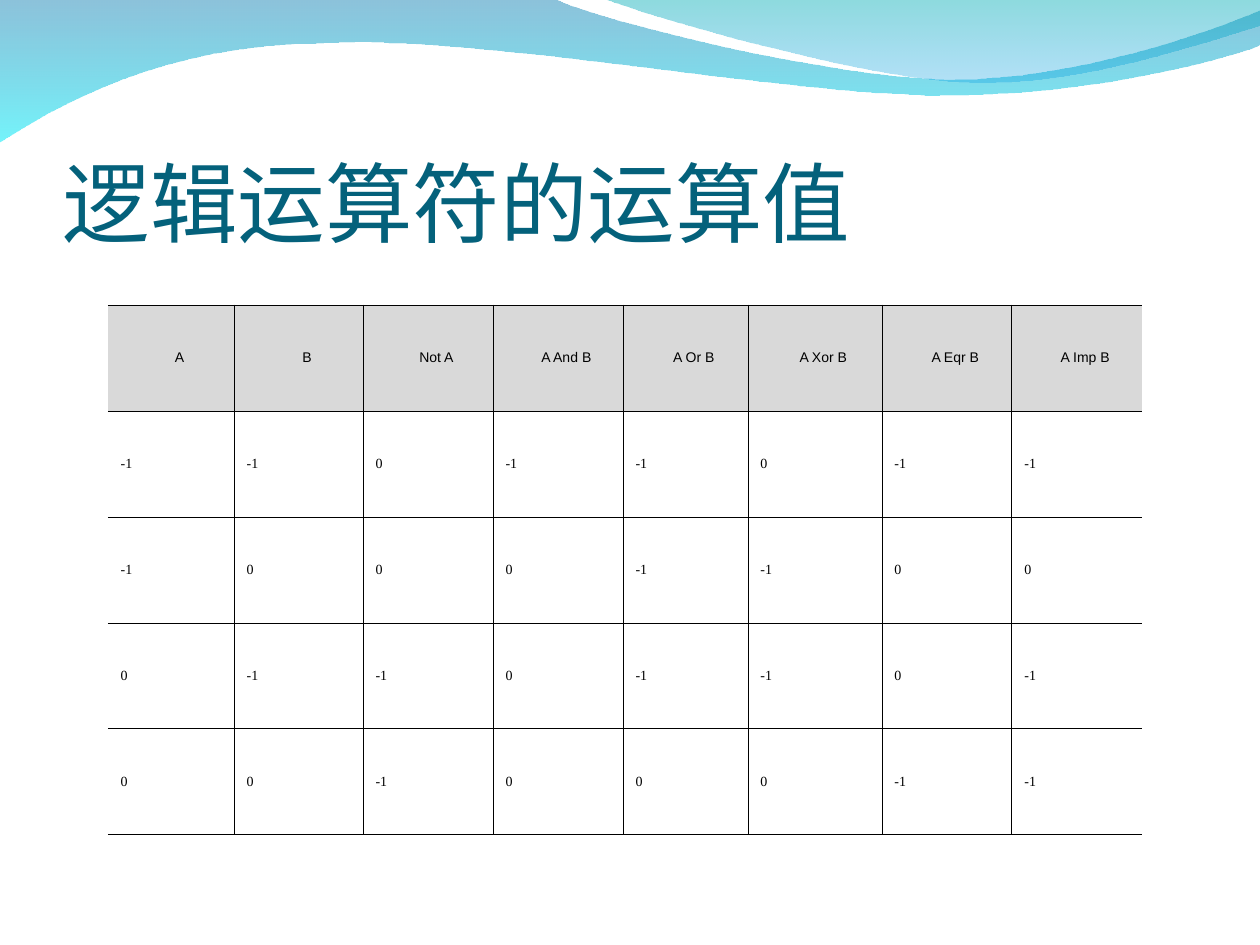
"""Build the slide that tabulates the results of the logical operators."""
from dataclasses import dataclass

from lxml import etree
from pptx import Presentation
from pptx.dml.color import RGBColor
from pptx.enum.text import MSO_ANCHOR, PP_ALIGN
from pptx.oxml.ns import qn
from pptx.slide import Slide
from pptx.table import _Cell
from pptx.text.text import _Paragraph
from pptx.util import Emu, Inches, Pt

MIDDLE, BOTTOM = MSO_ANCHOR.MIDDLE, MSO_ANCHOR.BOTTOM
LEFT, CENTER = PP_ALIGN.LEFT, PP_ALIGN.CENTER
EMU_PER_PX = Inches(1) / 126
DOWNWARD = 270

Point = tuple[int, int]


@dataclass(frozen=True)
class TextStyle:
    font: str
    size: int
    color: str


@dataclass(frozen=True)
class Theme:
    title: TextStyle = TextStyle("Calibri", 50, "04617B")
    header: TextStyle = TextStyle("Arial", 8, "000000")
    value: TextStyle = TextStyle("Times New Roman", 8, "000000")
    header_fill: str = "D9D9D9"
    rule: str = "000000"
    rule_width: float = 0.45
    cell_spacing: float = 2.9


@dataclass(frozen=True)
class Tint:
    color: str
    opacity: int


@dataclass(frozen=True)
class Wave:
    start: Point
    segments: tuple[tuple[Point, ...], ...]
    top: Tint
    bottom: Tint


THEME = Theme()
WAVES = (
    Wave(
        (0, -1),
        (
            ((554, -1),),
            ((600, 21), (837, 79), (955, 79)),
            ((1075, 79), (1207, 33), (1260, 11)),
            ((1261, 45),),
            ((1239, 55), (1096, 96), (940, 95)),
            ((783, 95), (481, 35), (324, 43)),
            ((163, 44), (58, 105), (-1, 142)),
        ),
        Tint("0079AF", 45),
        Tint("00EBF8", 55),
    ),
    Wave(
        (604, -1),
        (
            ((641, 14), (859, 78), (969, 82)),
            ((1079, 87), (1211, 40), (1260, 26)),
            ((1260, 0),),
        ),
        Tint("00ADB6", 45),
        Tint("009BE5", 30),
    ),
)
OPERATORS = ("A", "B", "Not A", "A And B", "A Or B", "A Xor B", "A Eqr B", "A Imp B")
RESULTS = (
    (-1, -1, 0, -1, -1, 0, -1, -1),
    (-1, 0, 0, 0, -1, -1, 0, 0),
    (0, -1, -1, 0, -1, -1, 0, -1),
    (0, 0, -1, 0, 0, 0, -1, -1),
)
COLUMN_WIDTHS = (126, 129, 130, 130, 125, 134, 130, 130)
ROW_HEIGHT = 106


def px(length: int) -> Emu:
    """Turn pixels into EMU."""
    return Emu(round(length * EMU_PER_PX))


def style_text(paragraph: _Paragraph, style: TextStyle) -> None:
    """Apply a text style to every run of a paragraph."""
    for run in paragraph.runs:
        run.font.name = style.font
        run.font.size = Pt(style.size)
        run.font.color.rgb = RGBColor.from_string(style.color)


def draw_wave(slide: Slide, wave: Wave) -> None:
    """Draw a translucent wave, its three-point segments being Bézier curves."""
    builder = slide.shapes.build_freeform(*wave.start, scale=EMU_PER_PX)
    builder.add_line_segments([point for segment in wave.segments for point in segment])
    ribbon = builder.convert_to_shape()
    ribbon.shadow.inherit = False
    ribbon.line.fill.background()
    ribbon.fill.gradient()
    ribbon.fill.gradient_angle = DOWNWARD
    tints = (wave.top, wave.bottom)
    for stop, tint in zip(ribbon.fill.gradient_stops, tints):
        stop.color.rgb = RGBColor.from_string(tint.color)
    for color, tint in zip(ribbon.element.iter(qn("a:srgbClr")), tints):
        etree.SubElement(color, qn("a:alpha"), val=str(tint.opacity * 1000))

    lines = iter(list(ribbon.element.iter(qn("a:lnTo"))))
    for segment in wave.segments:
        first, *others = [next(lines) for _ in segment]
        if others:
            curve = etree.Element(qn("a:cubicBezTo"))
            first.addprevious(curve)
            for line in (first, *others):
                curve.append(line[0])
                line.getparent().remove(line)
    outline = next(ribbon.element.iter(qn("a:path")))
    if outline.find(qn("a:close")) is None:
        etree.SubElement(outline, qn("a:close"))


def draw_title(slide: Slide, wording: str) -> None:
    """Place the slide title."""
    frame = slide.shapes.add_textbox(px(63), px(97), px(1134), px(157)).text_frame
    frame.word_wrap = True
    frame.vertical_anchor = BOTTOM
    frame.margin_left = frame.margin_right = frame.margin_bottom = 0
    frame.margin_top = px(6)
    frame.text = wording
    style_text(frame.paragraphs[0], THEME.title)


def rule_cell(cell: _Cell, column: int) -> None:
    """Rule a cell on all sides except the outer left and right of the table."""
    properties = cell._tc.get_or_add_tcPr()
    ruled = {"L": column > 0, "R": column < len(OPERATORS) - 1, "T": True, "B": True}
    for side, visible in ruled.items():
        border = etree.SubElement(properties, qn(f"a:ln{side}"), w=str(Pt(THEME.rule_width)))
        if visible:
            fill = etree.SubElement(border, qn("a:solidFill"))
            etree.SubElement(fill, qn("a:srgbClr"), val=THEME.rule)
        else:
            etree.SubElement(border, qn("a:noFill"))


def fill_cell(cell: _Cell, wording: str, column: int, is_header: bool) -> None:
    """Write and format one table cell."""
    rule_cell(cell, column)
    cell.vertical_anchor = MIDDLE
    cell.text = wording
    paragraph = cell.text_frame.paragraphs[0]
    paragraph.space_before = paragraph.space_after = Pt(THEME.cell_spacing)
    paragraph.alignment = CENTER if is_header else LEFT
    style_text(paragraph, THEME.header if is_header else THEME.value)
    if is_header:
        indents = paragraph._p.get_or_add_pPr()
        indents.set("marL", str(px(18)))
        indents.set("indent", str(px(-1)))
        cell.fill.solid()
        cell.fill.fore_color.rgb = RGBColor.from_string(THEME.header_fill)
    else:
        cell.fill.background()


def draw_truth_table(slide: Slide) -> None:
    """Draw the operators and their results as a table."""
    rows = (OPERATORS, *RESULTS)
    table = slide.shapes.add_table(
        len(rows), len(OPERATORS), px(108), px(305),
        px(sum(COLUMN_WIDTHS)), px(ROW_HEIGHT * len(rows)),
    ).table
    table.first_row = table.horz_banding = False
    for column, width in zip(table.columns, COLUMN_WIDTHS):
        column.width = px(width)
    for row_index, entries in enumerate(rows):
        table.rows[row_index].height = px(ROW_HEIGHT)
        for column_index, entry in enumerate(entries):
            fill_cell(table.cell(row_index, column_index), str(entry), column_index, row_index == 0)


def main() -> None:
    """Assemble and save the slide."""
    deck = Presentation()
    deck.slide_width, deck.slide_height = px(1260), px(945)
    slide = deck.slides.add_slide(deck.slide_layouts[6])
    for wave in WAVES:
        draw_wave(slide, wave)
    draw_title(slide, "逻辑运算符的运算值")
    draw_truth_table(slide)
    deck.save("out.pptx")


if __name__ == "__main__":
    main()
